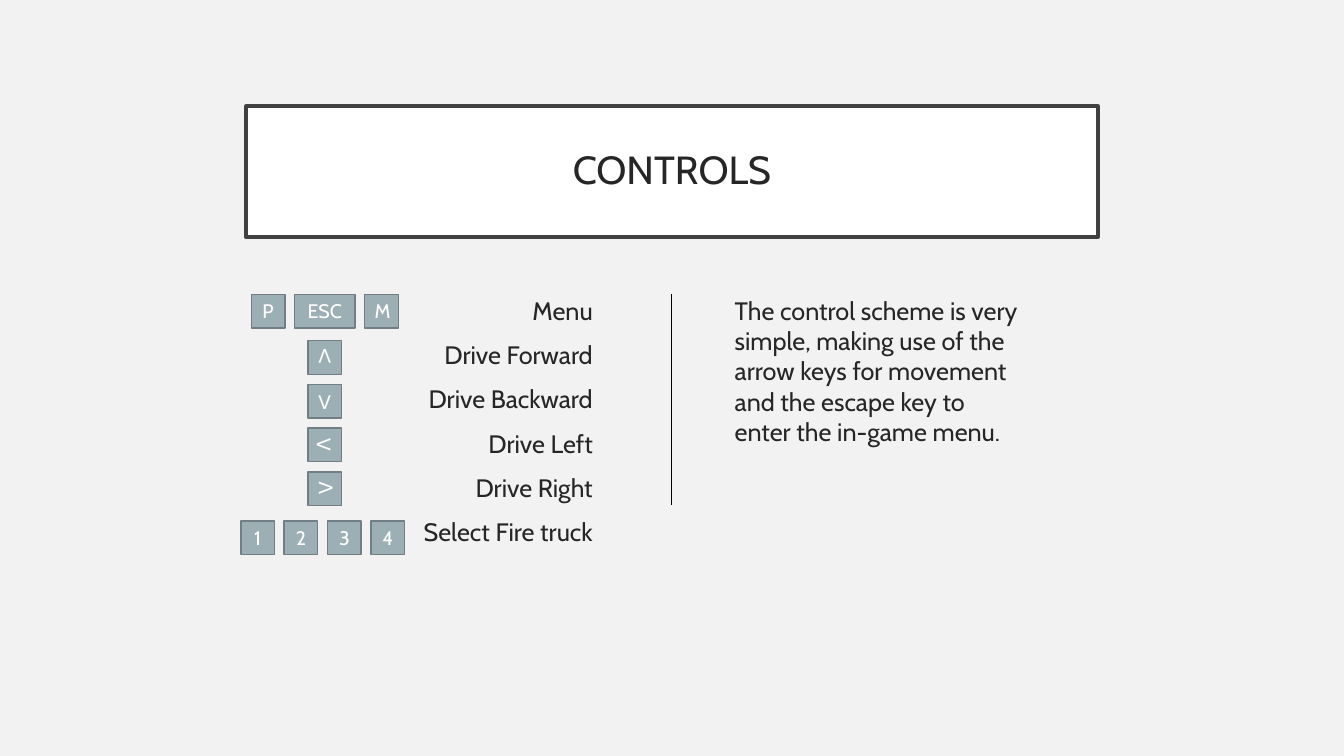
from dataclasses import dataclass

from pptx import Presentation
from pptx.dml.color import RGBColor
from pptx.enum.shapes import MSO_CONNECTOR, MSO_SHAPE
from pptx.enum.text import MSO_ANCHOR, MSO_AUTO_SIZE, PP_ALIGN
from pptx.oxml.ns import qn
from pptx.util import Pt
from lxml import etree

RECT = MSO_SHAPE.RECTANGLE
STRAIGHT = MSO_CONNECTOR.STRAIGHT
TOP, MIDDLE = MSO_ANCHOR.TOP, MSO_ANCHOR.MIDDLE
LEFT, CENTER, RIGHT = PP_ALIGN.LEFT, PP_ALIGN.CENTER, PP_ALIGN.RIGHT
NO_FIT = MSO_AUTO_SIZE.NONE


@dataclass(frozen=True)
class Theme:
    font: str = "Cabin"
    background: str = "F2F2F2"
    ink: str = "262626"
    white: str = "FFFFFF"
    frame: str = "404040"
    key_fill: str = "9BAFB5"
    key_line: str = "717F84"
    divider: str = "000000"
    title_size: float = 28
    body_size: float = 18
    key_size: float = 14


KEY, ESC_WIDTH, KEY_GAP = 24, 43, 7

# Each row: centre x, top, and keys as (text, width, rotation)
KEY_ROWS = [
    (232, 210.2, [("P", KEY, 0), ("ESC", ESC_WIDTH, 0), ("M", KEY, 0)]),
    *((232, 243.4 + 31.2 * i, [("V", KEY, turn)])
      for i, turn in enumerate((180, 0, 90, 270))),
    (230.5, 372.2, [(digit, KEY, 0) for digit in "1234"]),
]
ACTIONS = ["Menu", "Drive Forward", "Drive Backward", "Drive Left",
           "Drive Right", "Select Fire truck"]
SUMMARY = ("The control scheme is very simple, making use of the arrow keys "
           "for movement and the escape key to enter the in-game menu.")


class SlideBuilder:
    def __init__(self, prs, theme):
        self.theme = theme
        self.slide = prs.slides.add_slide(prs.slide_layouts[5])
        fill = self.slide.background.fill
        fill.solid()
        fill.fore_color.rgb = RGBColor.from_string(theme.background)

    def paint(self, sp, fill, line, width):
        sp.fill.solid()
        sp.fill.fore_color.rgb = RGBColor.from_string(fill)
        sp.line.color.rgb = RGBColor.from_string(line)
        sp.line.width = Pt(width)

    def set_text(self, sp, lines, size, color, align, anchor=TOP,
                 inset=(7.2, 3.6), before=0, spacing=1.0):
        """Fill a shape with one paragraph per line."""
        tf = sp.text_frame
        dx, dy = map(Pt, inset)
        frame = {"word_wrap": True, "auto_size": NO_FIT,
                 "vertical_anchor": anchor, "margin_left": dx,
                 "margin_right": dx, "margin_top": dy, "margin_bottom": dy}
        for name, value in frame.items():
            setattr(tf, name, value)
        for i, text in enumerate(lines):
            p = tf.paragraphs[0] if i == 0 else tf.add_paragraph()
            layout = {"alignment": align, "line_spacing": spacing,
                      "space_before": Pt(before if i else 0)}
            for name, value in layout.items():
                setattr(p, name, value)
            r = p.add_run()
            r.text = text
            for name, value in {"name": self.theme.font, "size": Pt(size)}.items():
                setattr(r.font, name, value)
            r.font.color.rgb = RGBColor.from_string(color)

    def title(self, text, left, top, width, height):
        t = self.theme
        sp = self.slide.shapes.title
        box = {"left": left, "top": top, "width": width, "height": height}
        for name, value in box.items():
            setattr(sp, name, Pt(value))
        self.paint(sp, t.white, t.frame, 2.5)
        self.set_text(sp, [text], t.title_size, t.ink, CENTER, MIDDLE,
                      inset=(14.4, 14.4), spacing=0.9)

    def text(self, lines, left, top, width, height, align=LEFT, before=0):
        sp = self.slide.shapes.add_textbox(*map(Pt, (left, top, width, height)))
        self.set_text(sp, lines, self.theme.body_size, self.theme.ink, align,
                      before=before)

    def key(self, text, left, top, width, rotation):
        t = self.theme
        sp = self.slide.shapes.add_shape(RECT, *map(Pt, (left, top, width, KEY)))
        sp.shadow.inherit = False
        sp.rotation = rotation
        self.paint(sp, t.key_fill, t.key_line, 1)
        self.set_text(sp, [text], t.key_size, t.white, CENTER, MIDDLE)

    def key_row(self, center, top, keys):
        """Centre a row of evenly spaced keys."""
        total = sum(width for _, width, _ in keys) + KEY_GAP * (len(keys) - 1)
        left = center - total / 2
        for text, width, rotation in keys:
            self.key(text, left, top, width, rotation)
            left += width + KEY_GAP

    def divider(self, x, top, bottom):
        line = self.slide.shapes.add_connector(
            STRAIGHT, *map(Pt, (x, top, x, bottom)))
        line.line.color.rgb = RGBColor.from_string(self.theme.divider)
        line.line.width = Pt(0.75)
        etree.SubElement(line._element.spPr, qn("a:effectLst"))


def main():
    prs = Presentation()
    prs.slide_width, prs.slide_height = Pt(960), Pt(540)
    s = SlideBuilder(prs, Theme())
    s.title("CONTROLS", 175.8, 75.8, 608.4, 93.6)
    s.text(ACTIONS, 220.3, 207.4, 210.2, 244, align=RIGHT, before=10)
    s.text([SUMMARY], 517.7, 207.4, 222.5, 244)
    s.divider(480, 210.2, 360.7)
    for center, top, keys in KEY_ROWS:
        s.key_row(center, top, keys)
    prs.save("out.pptx")


if __name__ == "__main__":
    main()
